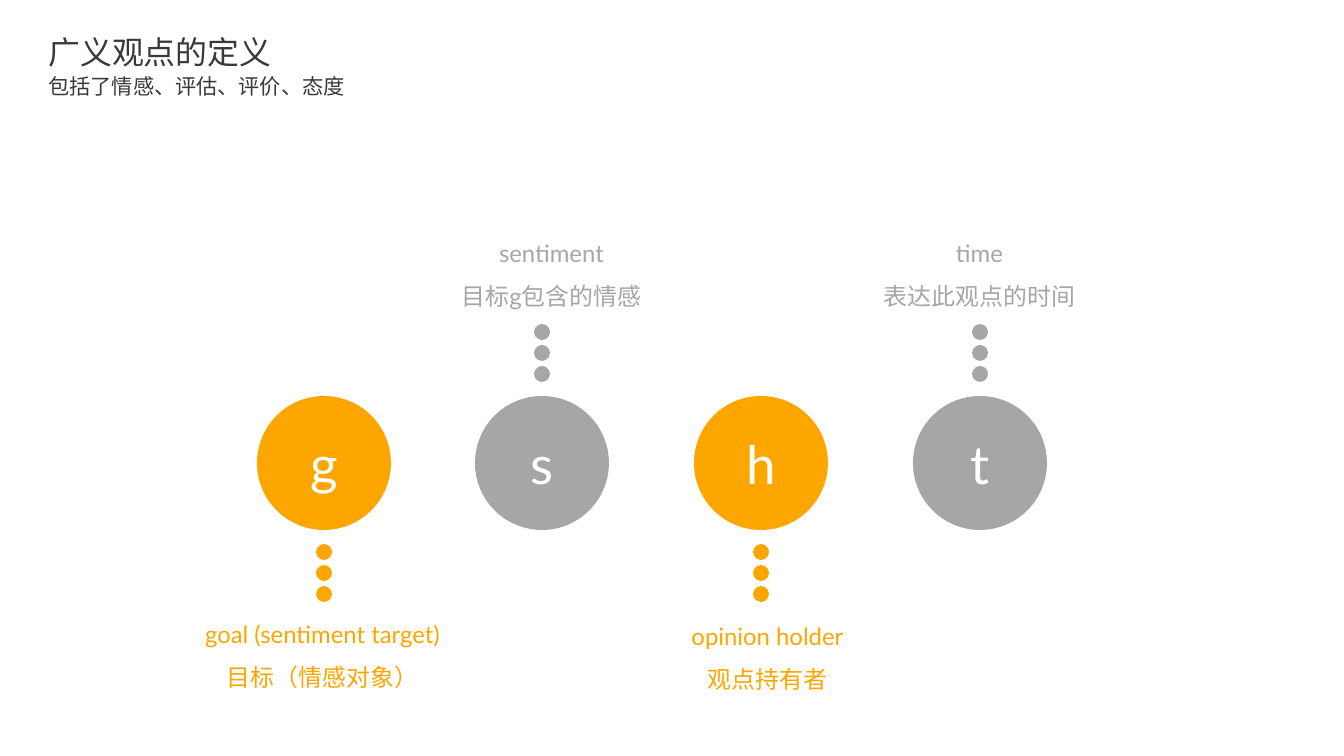
from dataclasses import dataclass

import lxml.etree
import pptx
import pptx.dml.color
import pptx.enum.shapes
import pptx.enum.text
import pptx.oxml.ns
import pptx.util

PX = 9565
ORANGE = pptx.dml.color.RGBColor(0xFE, 0xA6, 0x00)
GRAY = pptx.dml.color.RGBColor(0xA6, 0xA6, 0xA6)
DARK = pptx.dml.color.RGBColor(0x3B, 0x38, 0x38)
WHITE = pptx.dml.color.RGBColor(0xFF, 0xFF, 0xFF)
CHINESE_FONT = "Noto Sans CJK SC"
CENTER = pptx.enum.text.PP_ALIGN.CENTER
LEFT = pptx.enum.text.PP_ALIGN.LEFT

FIRST_CENTER, LAST_CENTER = 324, 980
CIRCLE_TOP, CIRCLE_SIZE = 396, 134
DOT_SIZE, DOT_STEP, DOT_COUNT = 16, 21, 3
DOTS_ABOVE, DOTS_BELOW = 324, 544
LABEL_HEIGHT = 97


@dataclass(frozen=True)
class Element:
    letter: str
    color: pptx.dml.color.RGBColor
    dots_top: int
    label_left: int
    label_top: int
    label_width: int
    lines: tuple[str, str]


ELEMENTS = (
    Element("g", ORANGE, DOTS_BELOW, 185, 601, 275, ("goal (sentiment target)", "目标（情感对象）")),
    Element("s", GRAY, DOTS_ABOVE, 397, 220, 309, ("sentiment", "目标g包含的情感")),
    Element("h", ORANGE, DOTS_BELOW, 627, 603, 281, ("opinion holder", "观点持有者")),
    Element("t", GRAY, DOTS_ABOVE, 839, 220, 281, ("time", "表达此观点的时间")),
)


def px(length: int) -> pptx.util.Emu:
    return pptx.util.Emu(length * PX)


def write(frame, *lines: str, size: int, color, font: str = "Lato",
          align=CENTER, spacing: float = 1.0) -> None:
    for index, line in enumerate(lines):
        para = frame.add_paragraph() if index else frame.paragraphs[0]
        para.alignment = align
        para.line_spacing = spacing
        span = para.add_run()
        span.text = line
        span.font.size = pptx.util.Pt(size)
        span.font.color.rgb = color
        span.font.name = font
        east_asian = lxml.etree.SubElement(span._r.get_or_add_rPr(), pptx.oxml.ns.qn("a:ea"))
        east_asian.set("typeface", CHINESE_FONT)


def add_circle(page, center: int, top: int, size: int, color):
    circle = page.shapes.add_shape(
        pptx.enum.shapes.MSO_SHAPE.OVAL, px(center - size // 2), px(top), px(size), px(size))
    circle.shadow.inherit = False
    circle.fill.solid()
    circle.fill.fore_color.rgb = color
    circle.line.fill.background()
    return circle


def add_text(page, left: int, top: int, width: int, height: int, *lines: str,
             wrap: bool = True, **text_format) -> None:
    box = page.shapes.add_textbox(px(left), px(top), px(width), px(height))
    box.text_frame.word_wrap = wrap
    box.text_frame.auto_size = pptx.enum.text.MSO_AUTO_SIZE.SHAPE_TO_FIT_TEXT
    write(box.text_frame, *lines, **text_format)


def add_element(page, element: Element, center: int) -> None:
    circle = add_circle(page, center, CIRCLE_TOP, CIRCLE_SIZE, element.color)
    circle.text_frame.vertical_anchor = pptx.enum.text.MSO_ANCHOR.MIDDLE
    write(circle.text_frame, element.letter, size=40, color=WHITE)
    for index in range(DOT_COUNT):
        add_circle(page, center, element.dots_top + index * DOT_STEP, DOT_SIZE, element.color)
    add_text(page, element.label_left, element.label_top, element.label_width, LABEL_HEIGHT,
             *element.lines, size=18, color=element.color, spacing=1.5)


def main() -> None:
    deck = pptx.Presentation()
    deck.slide_width, deck.slide_height = px(1344), px(756)
    page = deck.slides.add_slide(deck.slide_layouts[6])
    for index, element in enumerate(ELEMENTS):
        center = FIRST_CENTER + index * (LAST_CENTER - FIRST_CENTER) // (len(ELEMENTS) - 1)
        add_element(page, element, center)
    add_text(page, 39, 28, 246, 49, "广义观点的定义", wrap=False,
             size=24, color=DARK, font=CHINESE_FONT, align=LEFT)
    add_text(page, 39, 69, 320, 36, "包括了情感、评估、评价、态度", wrap=False,
             size=16, color=DARK, font="Calibri", align=LEFT)
    deck.save("out.pptx")


if __name__ == "__main__":
    main()
